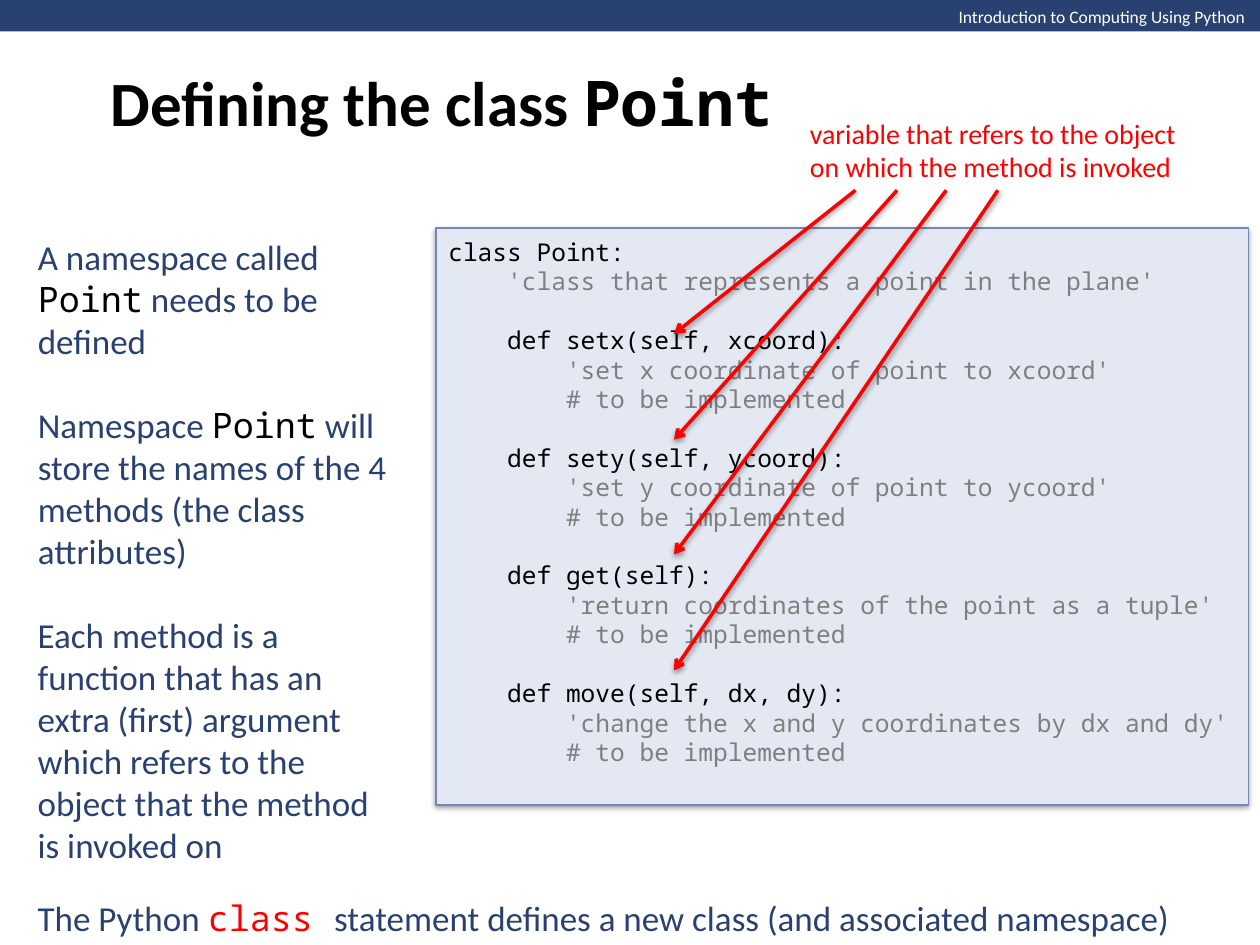
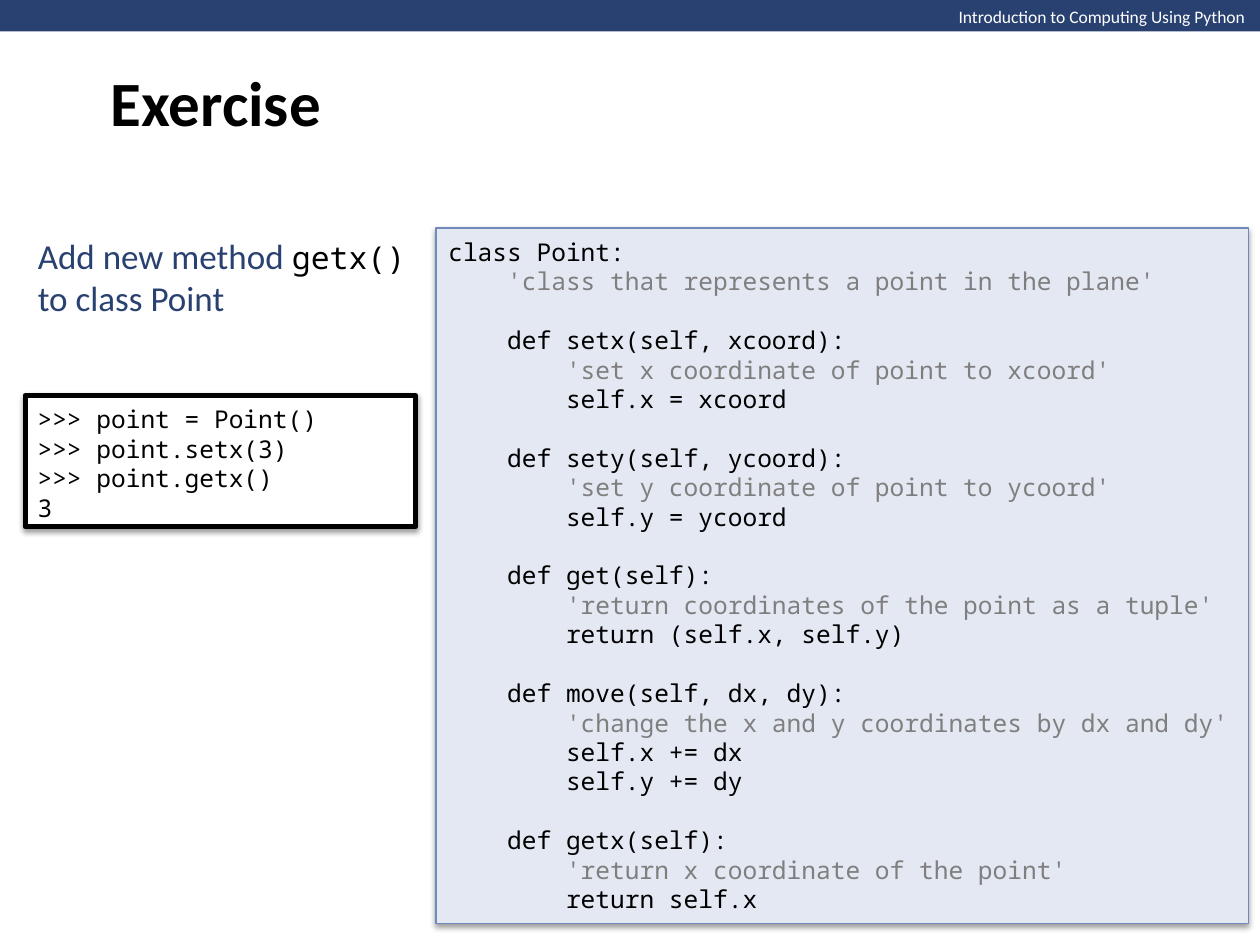
from lxml import etree
from pptx import Presentation
from pptx.dml.color import RGBColor
from pptx.enum.shapes import MSO_CONNECTOR, MSO_SHAPE
from pptx.enum.text import MSO_ANCHOR, MSO_AUTO_SIZE, PP_ALIGN
from pptx.oxml.ns import qn
from pptx.util import Inches, Pt

RECTANGLE = MSO_SHAPE.RECTANGLE
STRAIGHT = MSO_CONNECTOR.STRAIGHT
TOP, MIDDLE = MSO_ANCHOR.TOP, MSO_ANCHOR.MIDDLE
LEFT = PP_ALIGN.LEFT
NO_AUTOSIZE = MSO_AUTO_SIZE.NONE

COLORS = {"navy": "294171", "white": "FFFFFF", "black": "000000", "red": "FF0000",
          "gray": "7F7F7F", "pale": "E3E8F2", "edge": "7088BA"}
SANS, MONO = "Calibri", "Noto Sans Mono"
STYLES = {
    "header": {"name": SANS, "size": Pt(10), "color": "white"},
    "title": {"name": SANS, "size": Pt(36), "bold": True, "color": "black"},
    "title code": {"name": MONO, "size": Pt(36), "bold": True, "color": "black"},
    "body": {"name": SANS, "size": Pt(20), "color": "navy"},
    "body code": {"name": MONO, "size": Pt(20), "color": "black"},
    "call": {"name": MONO, "size": Pt(18), "color": "black"},
    "keyword": {"name": MONO, "size": Pt(20), "color": "red"},
    "note": {"name": SANS, "size": Pt(16), "color": "red"},
    "code": {"name": MONO, "size": Pt(14), "color": "black"},
    "comment": {"name": MONO, "size": Pt(14), "color": "gray"},
}
BODY_GAP, CODE_GAP = Pt(24), Pt(16.8)
INDENT = " " * 4

TODO = ["# to be implemented"]
METHODS = [
    ("setx(self, xcoord)", "set x coordinate of point to xcoord", ["self.x = xcoord"]),
    ("sety(self, ycoord)", "set y coordinate of point to ycoord", ["self.y = ycoord"]),
    ("get(self)", "return coordinates of the point as a tuple", ["return (self.x, self.y)"]),
    ("move(self, dx, dy)", "change the x and y coordinates by dx and dy",
     ["self.x += dx", "self.y += dy"]),
]
GETX = ("getx(self)", "return x coordinate of the point", ["return self.x"])


def rgb(color):
    """Return the named colour."""
    return RGBColor.from_string(COLORS[color])


def point_class(methods):
    """Return the code lines of class Point with the given methods."""
    lines = ["class Point:", f"{INDENT}'class that represents a point in the plane'"]
    for signature, docstring, statements in methods:
        lines.append(f"{INDENT}def {signature}:")
        lines += [INDENT * 2 + line for line in [f"'{docstring}'", *statements]]
    return lines


class Deck:
    """Holds the presentation style and the current slide."""

    def __init__(self):
        """Start a presentation of 10 by 7.5 inches."""
        self.presentation = Presentation()
        self.presentation.slide_width = Inches(10)
        self.presentation.slide_height = Inches(7.5)
        self.slide = None

    def new_slide(self, title):
        """Add a slide with the header band and a title."""
        self.slide = self.presentation.slides.add_slide(self.presentation.slide_layouts[1])
        self.rectangle((0, 0, 10, 0.25), "navy")
        self.text((7.51, 0, 2.5, 0.27), [[("Introduction to Computing Using Python", "header")]],
                  anchor=TOP, wrap=False)
        self.placeholder(self.slide.shapes.title, (0.78, 0, 8.72, 1.61), [title])

    def body(self, box, paragraphs):
        """Fill the body placeholder with unbulleted paragraphs."""
        self.placeholder(self.slide.placeholders[1], box, paragraphs)

    def placeholder(self, shape, box, paragraphs):
        """Move a placeholder and fill it."""
        shape.left, shape.top, shape.width, shape.height = map(Inches, box)
        self.fill_text(shape.text_frame, paragraphs)

    def text(self, box, paragraphs, **layout):
        """Add a text box."""
        shape = self.slide.shapes.add_textbox(*map(Inches, box))
        self.fill_text(shape.text_frame, paragraphs, **layout)

    def fill_text(self, frame, paragraphs, anchor=MIDDLE, wrap=True, gap=BODY_GAP):
        """Write paragraphs, each a list of (text, style) runs."""
        layout = {"auto_size": NO_AUTOSIZE, "word_wrap": wrap, "vertical_anchor": anchor}
        for name, value in layout.items():
            setattr(frame, name, value)
        for index, runs in enumerate(paragraphs):
            paragraph = frame.paragraphs[0] if index == 0 else frame.add_paragraph()
            properties = paragraph._p.get_or_add_pPr()
            properties.set("marL", "0")
            properties.set("indent", "0")
            etree.SubElement(properties, qn("a:buNone"))
            paragraph.alignment = LEFT
            paragraph.space_before = gap if index else Pt(0)
            for text, style in runs:
                self.add_run(paragraph, text, style)

    def add_run(self, paragraph, text, style):
        """Append one run in a named style."""
        run = paragraph.add_run()
        run.text = text
        for name, value in STYLES[style].items():
            if name == "color":
                run.font.color.rgb = rgb(value)
            else:
                setattr(run.font, name, value)

    def rectangle(self, box, fill, line=None, width=0.75):
        """Add a flat rectangle, outlined if a line colour is given."""
        shape = self.slide.shapes.add_shape(RECTANGLE, *map(Inches, box))
        shape.fill.solid()
        shape.fill.fore_color.rgb = rgb(fill)
        if line:
            shape.line.color.rgb = rgb(line)
            shape.line.width = Pt(width)
        else:
            shape.line.fill.background()
        shape.shadow.inherit = False
        return shape

    def code(self, box, lines, fill="pale", line="edge", width=0.75):
        """Add a shadowed box of code with a gap above each method."""
        shape = self.rectangle(box, fill, line, width)
        self.drop_shadow(shape._element.spPr.find(qn("a:effectLst")))
        paragraphs = [[(text, "comment" if text.strip()[0] in "'#" else "code")]
                      for text in lines]
        frame = shape.text_frame
        self.fill_text(frame, paragraphs, anchor=TOP, gap=Pt(0))
        frame.margin_top = Inches(0.07)
        for paragraph in frame.paragraphs:
            if paragraph.text.startswith(f"{INDENT}def "):
                paragraph.space_before = CODE_GAP

    def arrow(self, start, end):
        """Add a red shadowed arrow."""
        connector = self.slide.shapes.add_connector(STRAIGHT, *map(Inches, start + end))
        connector.line.color.rgb = rgb("red")
        connector.line.width = Pt(2)
        properties = connector._element.spPr
        etree.SubElement(properties.find(qn("a:ln")), qn("a:tailEnd"), type="arrow")
        self.drop_shadow(etree.SubElement(properties, qn("a:effectLst")))

    def drop_shadow(self, effects):
        """Put a soft shadow straight below into an effect list."""
        shadow = etree.SubElement(effects, qn("a:outerShdw"), blurRad=str(Pt(3.1)),
                                  dist=str(Pt(1.6)), dir="5400000", rotWithShape="0")
        color = etree.SubElement(shadow, qn("a:srgbClr"), val=COLORS["black"])
        etree.SubElement(color, qn("a:alpha"), val="38000")


def add_definition_slide(deck):
    """Build the slide that defines class Point."""
    deck.new_slide([("Defining the class ", "title"), ("Point", "title code")])
    deck.body((0.2, 1.81, 3.1, 2.79), [
        [("A namespace called ", "body"), ("Point", "body code"),
         (" needs to be defined", "body")],
        [("Namespace ", "body"), ("Point", "body code"),
         (" will store the names of the 4 methods (the class attributes)", "body")],
    ])
    deck.text((0.2, 4.81, 2.91, 2.12), [
        [("Each method is a function that has an extra (first) argument "
          "which refers to the object that the method is invoked on", "body")],
    ])
    stubs = [(signature, docstring, TODO) for signature, docstring, _ in METHODS]
    deck.code((3.46, 1.81, 6.45, 4.58), point_class(stubs))
    deck.text((0.2, 7.06, 9.19, 0.44), [
        [("The Python ", "body"), ("class ", "keyword"),
         ("statement defines a new class (and associated namespace)", "body")],
    ], wrap=False)
    deck.text((6.33, 0.87, 3.16, 0.64), [
        [("variable that refers to the object", "note")],
        [("on which the method is invoked", "note")],
    ], wrap=False, gap=Pt(0))
    for start_x, self_y in [(6.79, 2.65), (7.12, 3.49), (7.51, 4.4), (7.92, 5.32)]:
        deck.arrow((start_x, 1.51), (5.35, self_y))


def add_exercise_slide(deck):
    """Build the exercise slide with its solution."""
    deck.new_slide([("Exercise", "title")])
    deck.body((0.2, 1.81, 3.26, 0.77), [
        [("Add new method ", "body"), ("getx()", "call"), (" to class Point", "body")],
    ])
    session = [">>> point = Point()", ">>> point.setx(3)", ">>> point.getx()", "3"]
    deck.code((0.2, 3.14, 3.1, 1.04), session, "white", "black", 3)
    deck.code((3.46, 1.81, 6.45, 5.52), point_class([*METHODS, GETX]))


def main():
    """Build and save the slides."""
    deck = Deck()
    add_definition_slide(deck)
    add_exercise_slide(deck)
    deck.presentation.save("out.pptx")


if __name__ == "__main__":
    main()
